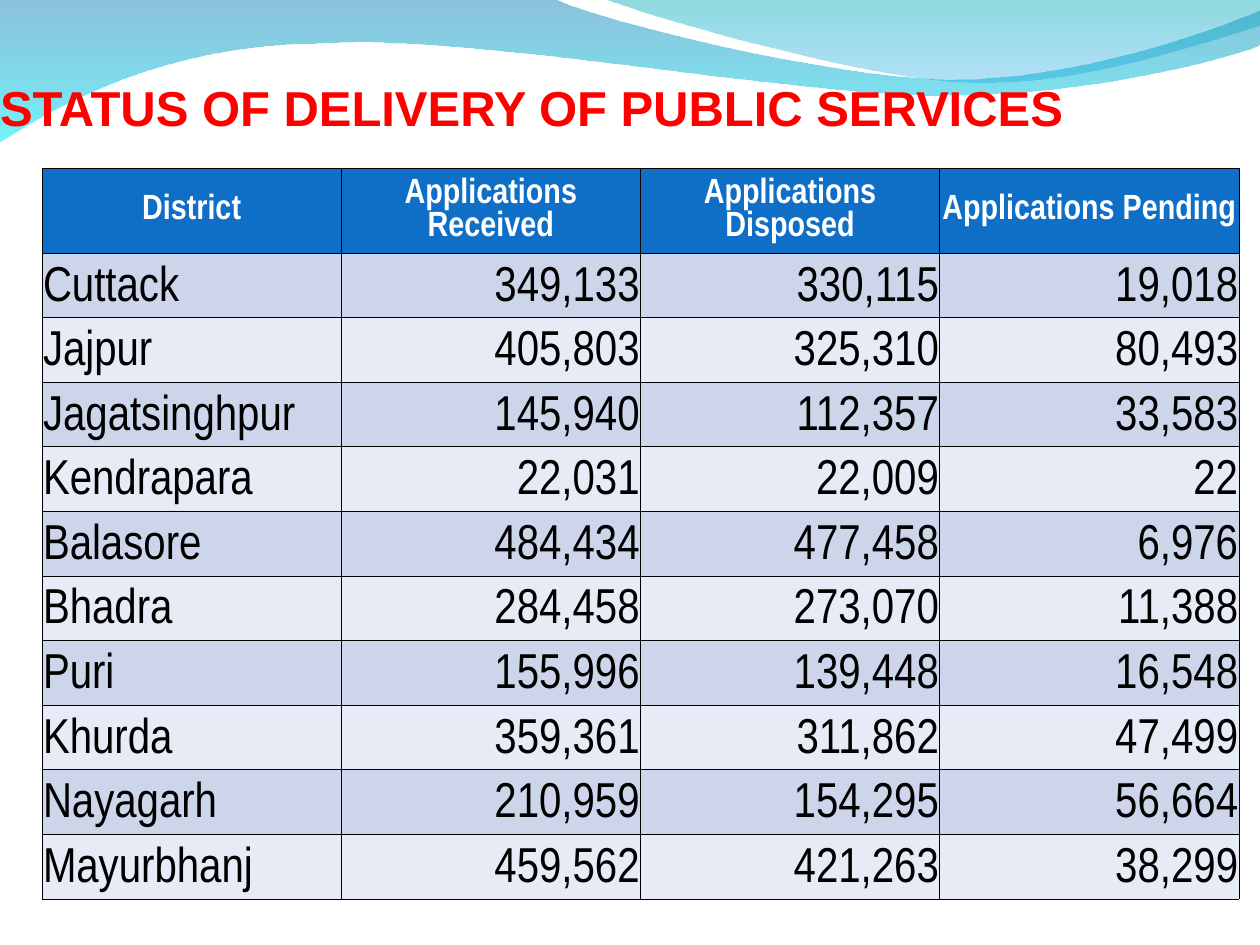
"""Slide with a table of public service applications by district."""
from lxml import etree
from pptx import Presentation
from pptx import util as u
from pptx.dml.color import RGBColor
from pptx.enum import text
from pptx.oxml.ns import qn

SCALE = 914400 / 126


def px(n):
    return u.Emu(round(n * SCALE))


def rgb(value):
    return RGBColor.from_string(value)


prs = Presentation()
prs.slide_width, prs.slide_height = px(1260), px(945)
s = prs.slides.add_slide(prs.slide_layouts[5])

waves = [
    dict(start=(0, -1),
         steps=[[(554, -1)],
                [(600, 21), (837, 79), (955, 79)],
                [(1075, 79), (1207, 33), (1260, 11)],
                [(1261, 45)],
                [(1239, 55), (1096, 96), (940, 95)],
                [(783, 95), (481, 35), (324, 43)],
                [(163, 44), (58, 105), (-1, 142)]],
         stops=[("0079AF", 45), ("00EBF8", 55)]),
    dict(start=(604, -1),
         steps=[[(641, 14), (859, 78), (969, 82)],
                [(1079, 87), (1211, 40), (1260, 26)],
                [(1260, 0)]],
         stops=[("00ADB6", 45), ("009BE5", 30)]),
]
for wave in waves:
    x, y = wave["start"]
    builder = s.shapes.build_freeform(px(x), px(y))
    builder.add_line_segments([(px(x), px(y)) for step in wave["steps"] for x, y in step],
                              close=True)
    sp = builder.convert_to_shape()
    segments = iter(list(sp._element.spPr.iter(qn("a:lnTo"))))
    for step in wave["steps"]:
        first, *others = [next(segments) for point in step]
        if others:
            curve = etree.Element(qn("a:cubicBezTo"))
            first.addprevious(curve)
            for segment in (first, *others):
                curve.append(segment[0])
                segment.getparent().remove(segment)
    sp.shadow.inherit = False
    sp.line.fill.background()
    sp.fill.gradient()
    sp.fill.gradient_angle = 270
    for stop, position, (color, alpha) in zip(sp.fill.gradient_stops, (0, 1), wave["stops"]):
        stop.position = position
        stop.color.rgb = rgb(color)
    colors = list(sp._element.spPr.iter(qn("a:srgbClr")))
    for node, (color, alpha) in zip(colors, wave["stops"]):
        etree.SubElement(node, qn("a:alpha"), val=str(alpha * 1000))

title = s.shapes.title
s.shapes._spTree.append(title._element)
title.left, title.top, title.width, title.height = px(0), px(32), px(1260), px(104)
tf = title.text_frame
frame = dict(margin_left=0, margin_top=px(6), margin_right=0, margin_bottom=0, word_wrap=True,
             auto_size=text.MSO_AUTO_SIZE.NONE, vertical_anchor=text.MSO_ANCHOR.BOTTOM)
for name, value in frame.items():
    setattr(tf, name, value)
p = tf.paragraphs[0]
p.alignment = text.PP_ALIGN.LEFT
r = p.add_run()
r.text = "STATUS OF DELIVERY OF PUBLIC SERVICES"
for name, value in dict(name="Arial", size=u.Pt(28), bold=True).items():
    setattr(r.font, name, value)
r.font.color.rgb = rgb("FF0000")

rows = [
    ("District", "Applications Received", "Applications Disposed", "Applications Pending"),
    ("Cuttack", "349,133", "330,115", "19,018"),
    ("Jajpur", "405,803", "325,310", "80,493"),
    ("Jagatsinghpur", "145,940", "112,357", "33,583"),
    ("Kendrapara", "22,031", "22,009", "22"),
    ("Balasore", "484,434", "477,458", "6,976"),
    ("Bhadra", "284,458", "273,070", "11,388"),
    ("Puri", "155,996", "139,448", "16,548"),
    ("Khurda", "359,361", "311,862", "47,499"),
    ("Nayagarh", "210,959", "154,295", "56,664"),
    ("Mayurbhanj", "459,562", "421,263", "38,299"),
]
table = s.shapes.add_table(len(rows), 4, px(42), px(168), px(1197), px(731)).table
for col in table.columns:
    col.width = px(1197) // 4
for i, row in enumerate(rows):
    header = i == 0
    table.rows[i].height = px(85) if header else px(731 - 85) // (len(rows) - 1)
    fill = "0F6FC6" if header else ("E7EBF5", "CCD5EA")[i % 2]
    for j, value in enumerate(row):
        cell = table.cell(i, j)
        cell.margin_left = cell.margin_right = px(1)
        cell.vertical_anchor = text.MSO_ANCHOR.MIDDLE if header else text.MSO_ANCHOR.BOTTOM
        cell.fill.solid()
        cell.fill.fore_color.rgb = rgb(fill)
        tc_pr = cell._tc.get_or_add_tcPr()
        for k, side in enumerate(("lnL", "lnR", "lnT", "lnB")):
            ln = etree.Element(qn("a:" + side), w=str(u.Pt(0.45)))
            solid = etree.SubElement(ln, qn("a:solidFill"))
            etree.SubElement(solid, qn("a:srgbClr"), val="000000")
            tc_pr.insert(k, ln)
        p = cell.text_frame.paragraphs[0]
        if header:
            p.alignment = text.PP_ALIGN.CENTER
        else:
            p.alignment = text.PP_ALIGN.RIGHT if j else text.PP_ALIGN.LEFT
        r = p.add_run()
        r.text = value
        font = dict(name="Arial Narrow", size=u.Pt(20 if header else 28), bold=header)
        for name, setting in font.items():
            setattr(r.font, name, setting)
        r.font.color.rgb = rgb("FFFFFF" if header else "000000")

prs.save("out.pptx")
